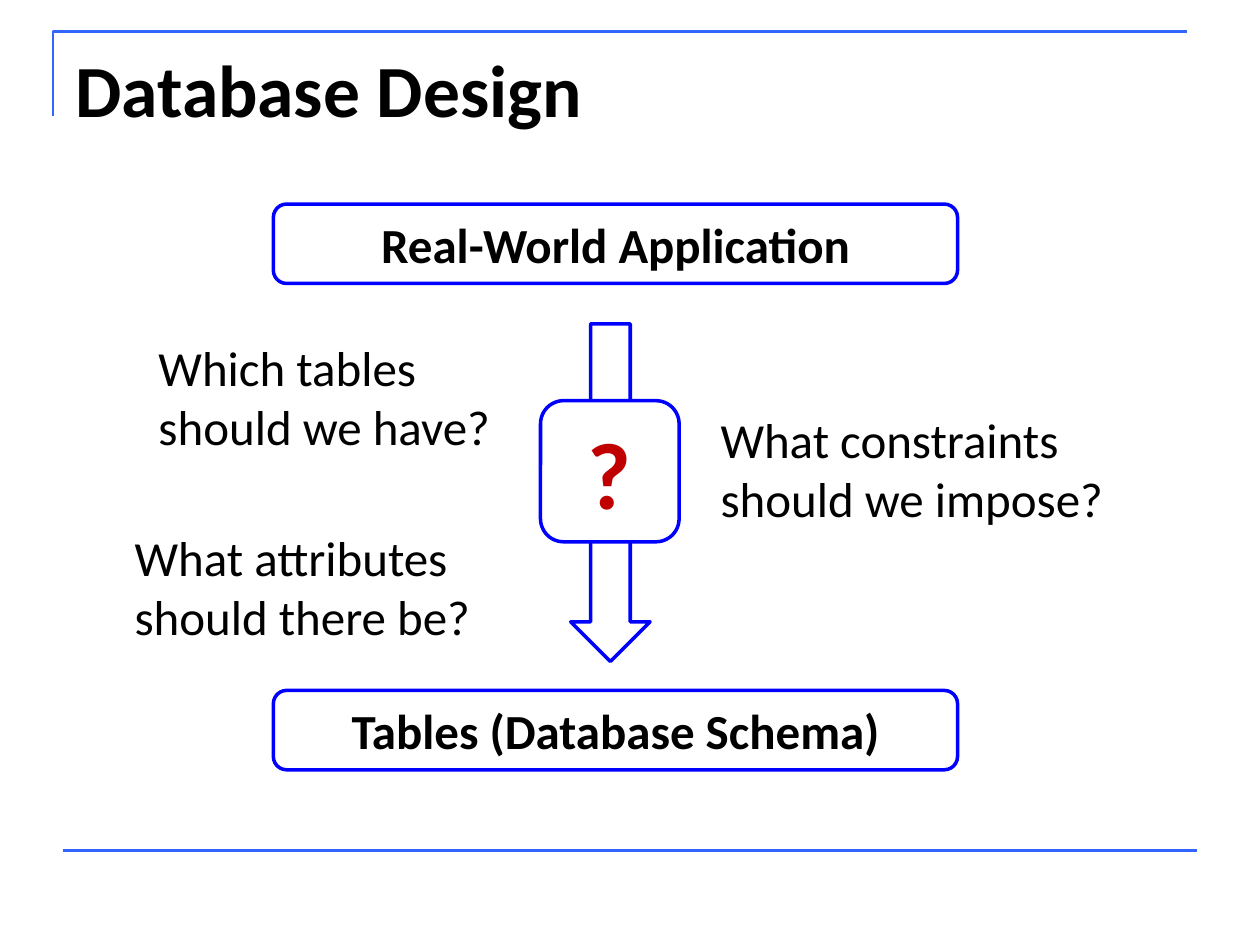
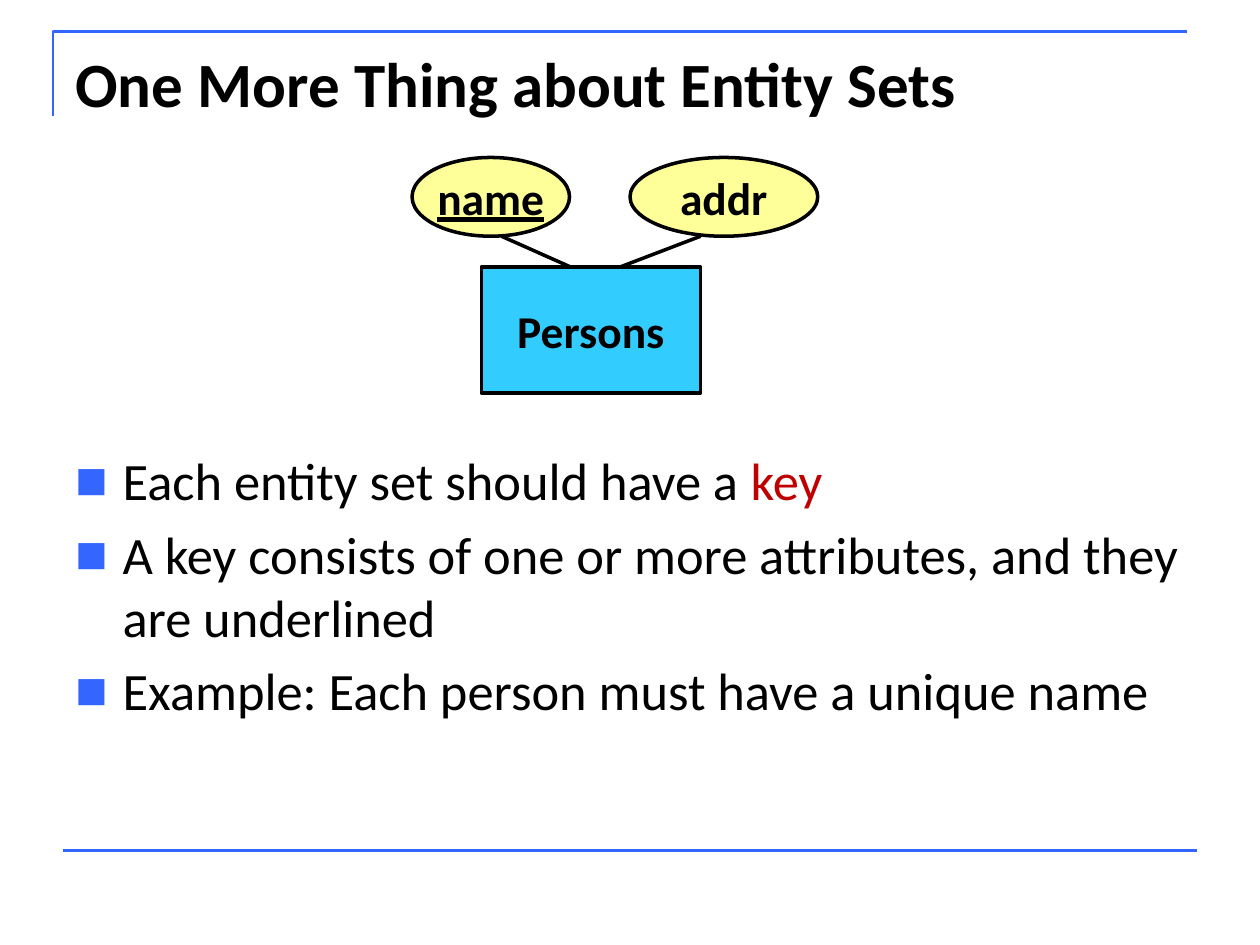
from dataclasses import dataclass

from lxml import etree
from pptx import Presentation
from pptx.dml.color import RGBColor
from pptx.enum.shapes import MSO_CONNECTOR, MSO_SHAPE
from pptx.enum.text import MSO_ANCHOR, PP_ALIGN
from pptx.oxml.ns import qn
from pptx.util import Inches, Pt

LINE = MSO_CONNECTOR.STRAIGHT
ROUND, ARROW = MSO_SHAPE.ROUNDED_RECTANGLE, MSO_SHAPE.DOWN_ARROW
RECT, OVAL = MSO_SHAPE.RECTANGLE, MSO_SHAPE.OVAL
MIDDLE, CENTER = MSO_ANCHOR.MIDDLE, PP_ALIGN.CENTER

# The page is a grid of 100 columns and 75 rows of square cells
WIDE, HIGH = Inches(10), Inches(7.5)
COLS = 100
CELL = WIDE / COLS


@dataclass(frozen=True)
class Theme:
    font: str = "Calibri"
    ink: str = "000000"
    paper: str = "FFFFFF"
    rule: str = "3366FF"
    edge: str = "0000FF"
    accent: str = "C00000"
    entity: str = "33CCFF"
    field: str = "FFFF99"
    rule_width: float = 1.5
    edge_width: float = 2
    title: int = 42
    small_title: int = 36
    body: int = 30
    label: int = 28
    node: int = 26
    mark: int = 54
    bullet: int = 65


THEME = Theme()


@dataclass(frozen=True)
class Area:
    """Left, top, width and height in grid cells."""
    x: float
    y: float
    w: float
    h: float

    def place(self) -> tuple:
        return tuple(cells(n) for n in (self.x, self.y, self.w, self.h))


@dataclass(frozen=True)
class Node:
    kind: int
    area: Area
    text: str = ""
    fill: str = ""
    edge: str = THEME.edge
    size: int = THEME.label
    ink: str = THEME.ink
    under: bool = False
    wrap: bool = True


@dataclass(frozen=True)
class Note:
    area: Area
    text: str


@dataclass(frozen=True)
class Link:
    start: tuple[float, float]
    end: tuple[float, float]
    ink: str = THEME.ink
    width: float = THEME.edge_width


def cells(count: float) -> int:
    return round(count * CELL)


def color(code: str) -> RGBColor:
    return RGBColor.from_string(code)


def style(item, size: int, ink: str = THEME.ink, bold: bool = False) -> None:
    """Format the font of each run in a paragraph."""
    for run in item.runs:
        font = run.font
        font.name, font.size, font.bold = THEME.font, Pt(size), bold
        font.color.rgb = color(ink)


def stroke(line, ink: str, width: float) -> None:
    line.color.rgb = color(ink)
    line.width = Pt(width)


# Drawing of single parts
def draw_node(slide, node: Node) -> None:
    shape = slide.shapes.add_shape(node.kind, *node.area.place())
    shape.shadow.inherit = False
    stroke(shape.line, node.edge, THEME.edge_width)
    if node.fill:
        shape.fill.solid()
        shape.fill.fore_color.rgb = color(node.fill)
    else:
        shape.fill.background()
    if node.text:
        frame = shape.text_frame
        frame.word_wrap = node.wrap
        frame.vertical_anchor = MIDDLE
        frame.text = node.text
        item = frame.paragraphs[0]
        item.alignment = CENTER
        style(item, node.size, node.ink, True)
        if node.under:
            item.runs[0].font.underline = True


def draw_link(slide, link: Link) -> None:
    ends = [cells(n) for n in (*link.start, *link.end)]
    line = slide.shapes.add_connector(LINE, *ends)
    stroke(line.line, link.ink, link.width)
    etree.SubElement(line._element.spPr, qn("a:effectLst"))


def add_text(slide, area: Area, wrap: bool = True):
    frame = slide.shapes.add_textbox(*area.place()).text_frame
    frame.word_wrap = wrap
    return frame


def draw_note(slide, note: Note) -> None:
    item = add_text(slide, note.area, False).paragraphs[0]
    item.text = note.text
    item._p.get_or_add_pPr().set("marL", str(cells(5)))
    style(item, THEME.label)


def set_bullet(item) -> None:
    props = item._p.get_or_add_pPr()
    props.set("marL", str(cells(3.75)))
    props.set("indent", str(cells(-3.75)))
    tint = etree.SubElement(props, qn("a:buClr"))
    etree.SubElement(tint, qn("a:srgbClr"), val=THEME.rule)
    etree.SubElement(props, qn("a:buSzPct"), val=str(THEME.bullet * 1000))
    etree.SubElement(props, qn("a:buFont"), typeface=THEME.font)
    etree.SubElement(props, qn("a:buChar"), char="■")


def draw_list(slide, area: Area, rows: list[tuple[str, str]]) -> None:
    """Draw bullets; each row is plain text and an accented tail."""
    frame = add_text(slide, area)
    for place, (text, tail) in enumerate(rows):
        item = frame.add_paragraph() if place else frame.paragraphs[0]
        item.text = text
        set_bullet(item)
        if place:
            item.space_before = Pt(THEME.body * 0.2)
        if tail:
            item.add_run().text = tail
        style(item, THEME.body)
        if tail:
            item.runs[-1].font.color.rgb = color(THEME.accent)


# Frame lines and title shared by all slides
def add_slide(deck, title: str, size: int):
    slide = deck.slides.add_slide(deck.slide_layouts[6])
    pen = slide.shapes.build_freeform(cells(4.2), cells(9.2))
    pen.add_line_segments(
        [(cells(4.2), cells(2.5)), (cells(94.2), cells(2.5))], close=False)
    corner = pen.convert_to_shape()
    corner.shadow.inherit = False
    corner.fill.background()
    stroke(corner.line, THEME.rule, THEME.rule_width)
    draw_link(slide, Link((5, 67.5), (95, 67.5), THEME.rule, THEME.rule_width))
    frame = add_text(slide, Area(5, 3, 90, 12.5))
    frame.text = title
    style(frame.paragraphs[0], size, bold=True)
    return slide


def add_design(deck) -> None:
    slide = add_slide(deck, "Database Design", THEME.title)
    # Start and goal, then the arrow and the open question
    stages = [(16.2, "Real-World Application"),
              (54.8, "Tables (Database Schema)")]
    for top, text in stages:
        draw_node(slide, Node(ROUND, Area(21.7, top, 54.3, 6.3), text, THEME.paper))
    draw_node(slide, Node(ARROW, Area(45.3, 25.7, 6.3, 26.8)))
    draw_node(slide, Node(ROUND, Area(42.9, 31.8, 11, 11.2), "?", THEME.paper,
                          size=THEME.mark, ink=THEME.accent))
    notes = [
        Note(Area(6.6, 26.3, 33.7, 10.4), "Which tables\nshould we have?"),
        Note(Area(4.7, 41.4, 34, 10.4), "What attributes\nshould there be?"),
        Note(Area(51.2, 32, 37.8, 10.4), "What constraints\nshould we impose?"),
    ]
    for note in notes:
        draw_note(slide, note)


def add_keys(deck) -> None:
    slide = add_slide(deck, "One More Thing about Entity Sets", THEME.small_title)
    draw_list(slide, Area(5, 35.1, 90, 31.9), [
        ("Each entity set should have a ", "key"),
        ("A key consists of one or more attributes, and they are underlined", ""),
        ("Example: Each person must have a unique name", ""),
    ])
    # Entity set with its attributes
    parts = [
        (RECT, Area(38.2, 21.2, 17.4, 10), "Persons", THEME.entity, False),
        (OVAL, Area(50, 12.5, 14.9, 6.25), "addr", THEME.field, False),
        (OVAL, Area(32.7, 12.5, 12.5, 6.25), "name", THEME.field, True),
    ]
    for kind, area, text, fill, under in parts:
        draw_node(slide, Node(kind, area, text, fill, THEME.ink, THEME.node,
                              under=under, wrap=False))
    for start, end in [(39.8, 45.3), (55.6, 49.2)]:
        draw_link(slide, Link((start, 18.75), (end, 21.2)))


def main() -> None:
    deck = Presentation()
    deck.slide_width, deck.slide_height = WIDE, HIGH
    add_design(deck)
    add_keys(deck)
    deck.save("out.pptx")


if __name__ == "__main__":
    main()
